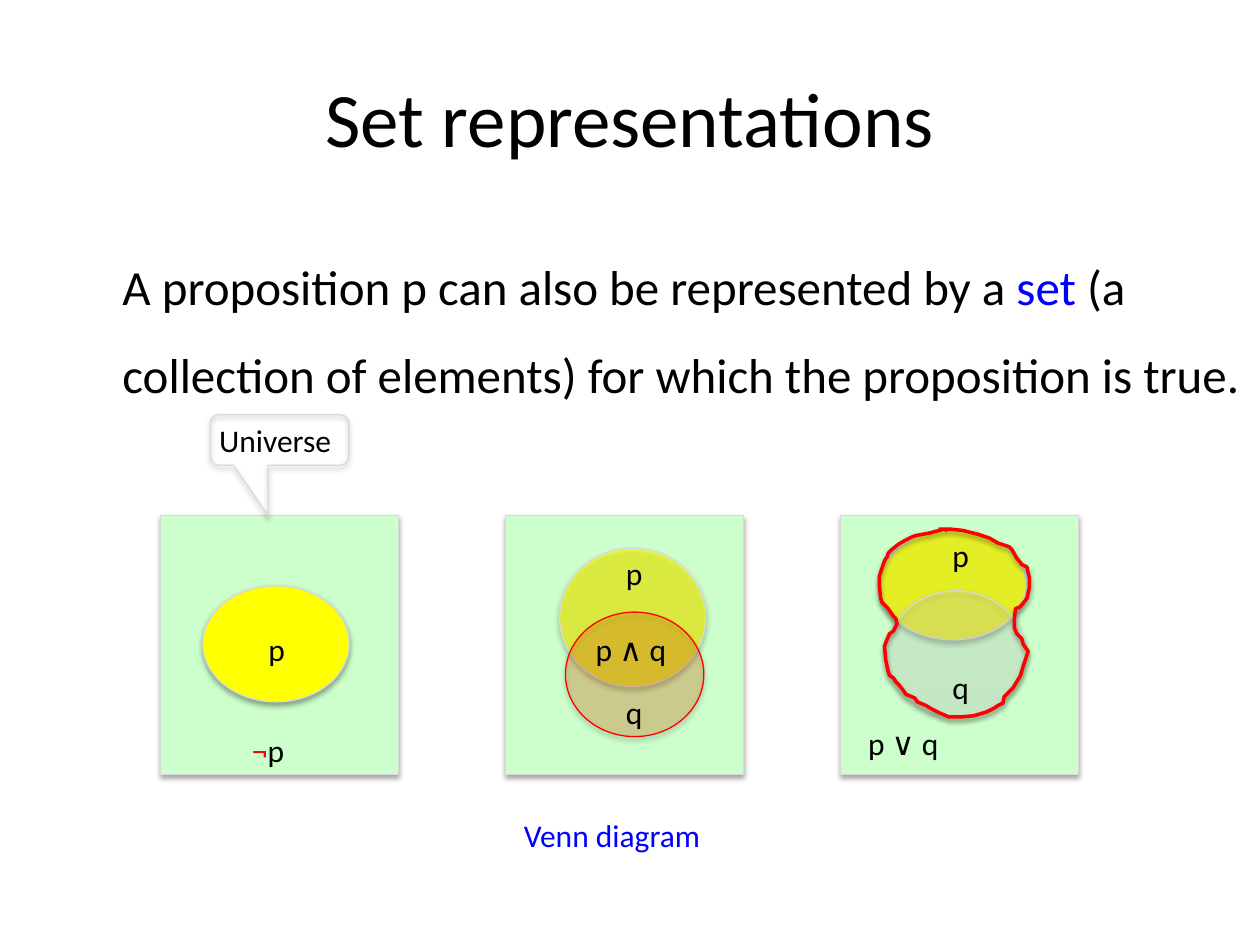
from lxml import etree
from pptx import Presentation
from pptx.dml.color import RGBColor
from pptx.enum.shapes import MSO_SHAPE
from pptx.enum.text import MSO_ANCHOR, PP_ALIGN
from pptx.oxml.ns import qn
from pptx.util import Cm, Pt

RECTANGLE, ELLIPSE = MSO_SHAPE.RECTANGLE, MSO_SHAPE.OVAL
CALLOUT = MSO_SHAPE.ROUNDED_RECTANGULAR_CALLOUT
MIDDLE, TOP = MSO_ANCHOR.MIDDLE, MSO_ANCHOR.TOP
CENTER, LEFT = PP_ALIGN.CENTER, PP_ALIGN.LEFT

FONT = "Calibri"
BLACK, BLUE, RED = "000000", "0000FF", "FF0000"
GREEN, YELLOW, ORANGE, GREY = "CCFFCC", "FFFF00", "FF6600", "D8D8D8"
LABEL_HEIGHT = 1.02
PANEL_TOP, PANEL_WIDTH, PANEL_HEIGHT = 10.39, 4.8, 5.23

# Outline of the union of p and q, in hundredths of an inch
UNION_UNIT = Cm(0.0254)
UNION_POINTS = [
    (752, 421), (749, 420), (738, 423), (727, 425), (724, 426), (718, 429),
    (713, 432), (708, 436), (705, 439), (704, 442), (702, 445), (700, 451),
    (699, 454), (698, 457), (698, 466), (699, 475), (700, 478), (704, 482),
    (707, 486), (709, 489), (711, 491), (712, 495), (709, 501), (706, 503),
    (703, 510), (702, 513), (703, 524), (705, 533), (706, 536), (709, 538),
    (711, 541), (713, 543), (717, 548), (719, 551), (726, 554), (728, 557),
    (735, 560), (740, 563), (744, 565), (753, 569), (763, 569), (773, 568),
    (783, 565), (789, 562), (792, 560), (796, 558), (797, 553), (804, 546),
    (810, 536), (812, 529), (813, 526), (816, 517), (812, 511), (811, 507),
    (807, 503), (805, 498), (805, 491), (806, 483), (809, 482), (811, 480),
    (815, 475), (817, 466), (817, 459), (815, 450), (811, 448), (807, 443),
    (803, 436), (801, 434), (795, 432), (792, 431), (785, 427), (779, 425),
    (776, 424), (772, 423), (764, 421), (755, 420), (745, 420),
]


def color(value):
    return RGBColor.from_string(value)


def add_shadow(shape, opacity):
    shape.shadow.inherit = False
    effects = shape._element.spPr.find(qn("a:effectLst"))
    shadow = etree.SubElement(effects, qn("a:outerShdw"), blurRad="39370",
                              dist="22860", dir="5400000", rotWithShape="0")
    black = etree.SubElement(shadow, qn("a:srgbClr"), val=BLACK)
    etree.SubElement(black, qn("a:alpha"), val=str(opacity * 1000))


def finish(shape, fills, opacity, line, line_width=0.75, shadow_opacity=35):
    """Give no fill, one fill colour or a two-colour gradient, line and shadow."""
    if not fills:
        shape.fill.background()
    elif len(fills) == 1:
        shape.fill.solid()
        shape.fill.fore_color.rgb = color(fills[0])
    else:
        shape.fill.gradient()
        shape.fill.gradient_angle = 90
        for stop, value in zip(shape.fill.gradient_stops, fills):
            stop.color.rgb = color(value)
    if opacity < 100:
        for tint in shape._element.spPr.iter(qn("a:srgbClr")):
            etree.SubElement(tint, qn("a:alpha"), val=str(opacity * 1000))
    shape.line.color.rgb = color(line)
    shape.line.width = Pt(line_width)
    add_shadow(shape, shadow_opacity)


def add_figure(page, kind, left, top, width, height, *fills, opacity=100, line=GREY):
    shape = page.shapes.add_shape(kind, Cm(left), Cm(top), Cm(width), Cm(height))
    finish(shape, fills, opacity, line)
    return shape


def add_text(page, left, top, width, height, spans, size=18, wrap=False,
             align=LEFT, anchor=TOP):
    """Add one paragraph made of (text, colour) spans."""
    box = page.shapes.add_textbox(Cm(left), Cm(top), Cm(width), Cm(height))
    box.text_frame.word_wrap = wrap
    box.text_frame.vertical_anchor = anchor
    para = box.text_frame.paragraphs[0]
    para.alignment = align
    para.font.size = Pt(size)
    para.font.name = FONT
    for text, value in spans:
        span = para.add_run()
        span.text = text
        span.font.color.rgb = color(value)
    return para


def add_label(page, left, top, width, *spans):
    add_text(page, left, top, width, LABEL_HEIGHT, spans)


def add_panel(page, left):
    add_figure(page, RECTANGLE, left, PANEL_TOP, PANEL_WIDTH, PANEL_HEIGHT, GREEN)


def add_union_outline(page):
    builder = page.shapes.build_freeform(*UNION_POINTS[0], scale=UNION_UNIT)
    builder.add_line_segments(UNION_POINTS[1:], close=False)
    finish(builder.convert_to_shape(), (), 100, RED, 2, 38)


def add_negation(page):
    add_panel(page, 3.23)
    add_label(page, 4.83, 14.61, 1.17, ("¬", RED), ("p", BLACK))
    add_label(page, 4.17, 8.36, 2.79, ("Universe", BLACK))
    callout = add_figure(page, CALLOUT, 4.24, 8.36, 2.79, LABEL_HEIGHT)
    for index, value in enumerate((-0.08, 1.51, 0.17)):
        callout.adjustments[index] = value
    add_figure(page, ELLIPSE, 4.09, 11.81, 2.95, 2.34, YELLOW)
    add_label(page, 5.16, 12.57, 0.84, ("p", BLACK))


def add_conjunction(page):
    add_panel(page, 10.19)
    add_figure(page, ELLIPSE, 11.28, 11.05, 2.95, 2.79, YELLOW, opacity=60)
    add_figure(page, ELLIPSE, 11.4, 12.34, 2.79, 2.51, ORANGE, opacity=24, line=RED)
    add_label(page, 12.37, 11.05, 0.84, ("p", BLACK))
    add_label(page, 12.37, 13.84, 0.84, ("q", BLACK))
    add_label(page, 11.76, 12.57, 2.11, ("p ∧ q", BLACK))


def add_disjunction(page):
    add_panel(page, 16.94)
    add_figure(page, ELLIPSE, 17.73, 10.69, 2.95, 2.21, YELLOW, opacity=75)
    add_figure(page, ELLIPSE, 17.88, 11.91, 2.79, 2.51, "DDDDDD", "EFEFEF", opacity=24)
    add_label(page, 17.25, 14.48, 2.11, ("p ∨ q", BLACK))
    add_union_outline(page)
    add_label(page, 18.95, 10.69, 0.84, ("p", BLACK))
    add_label(page, 18.95, 13.34, 0.84, ("q", BLACK))


def main():
    deck = Presentation()
    deck.slide_width, deck.slide_height = Cm(25.4), Cm(19.05)
    page = deck.slides.add_slide(deck.slide_layouts[6])

    # Title and statement
    add_text(page, 1.27, 0.76, 22.86, 3.18, [("Set representations", BLACK)],
             size=44, wrap=True, align=CENTER, anchor=MIDDLE)
    statement = add_text(page, 1.27, 4.45, 24.13, 12.57, [
        ("A proposition p can also be represented by a ", BLACK),
        ("set", BLUE),
        (" (a collection of elements) for which the proposition is true.", BLACK),
    ], size=28, wrap=True)
    statement.line_spacing = 1.5
    statement._p.get_or_add_pPr().set("marL", str(Cm(0.95)))

    # Three Venn diagrams and their caption
    add_negation(page)
    add_conjunction(page)
    add_disjunction(page)
    add_text(page, 10.31, 16.33, 4.67, LABEL_HEIGHT, [("Venn diagram", BLUE)], wrap=True)

    deck.save("out.pptx")


if __name__ == "__main__":
    main()
